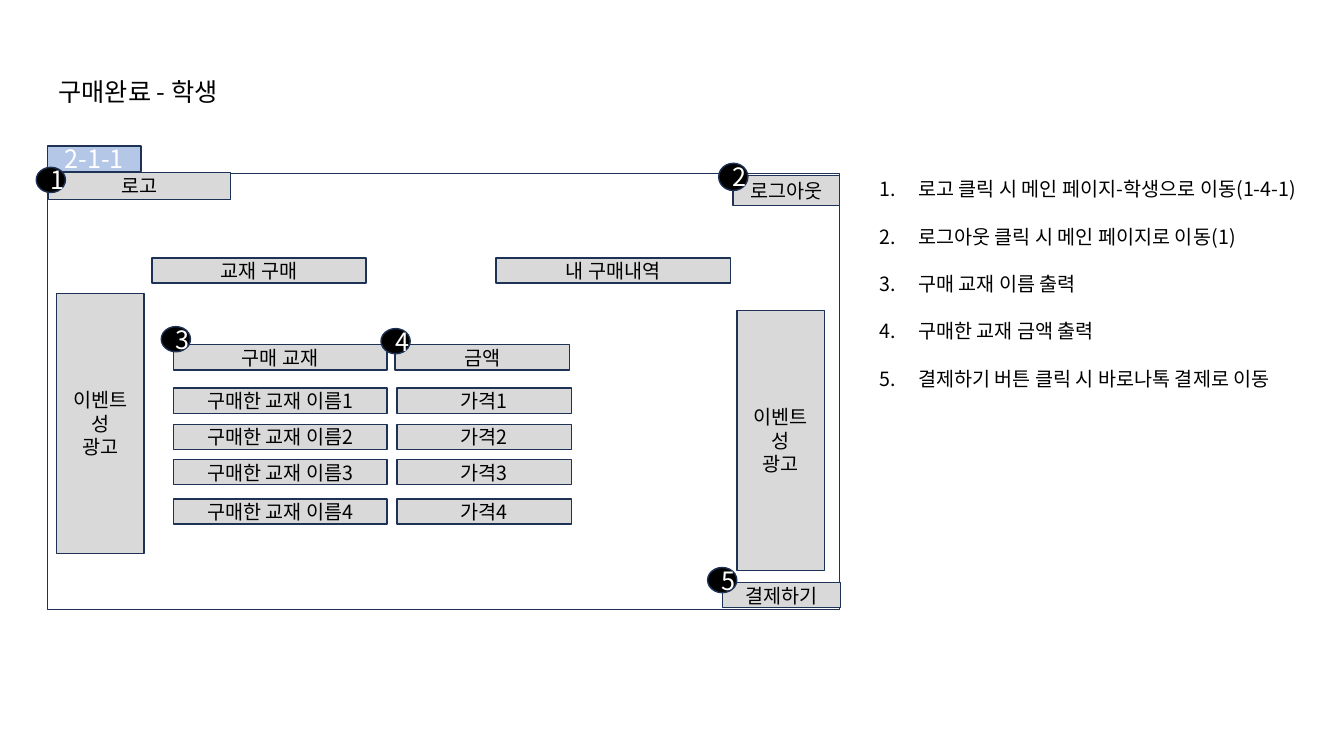
from lxml import etree
from pptx import Presentation
from pptx import util as u
from pptx.dml.color import RGBColor
from pptx.enum import shapes, text
from pptx.oxml.ns import qn

COLORS = {"ink": "000000", "paper": "FFFFFF", "outline": "1E3256",
          "button": "D9D9D9", "tag": "B4C7E7"}
FONT = "Noto Sans CJK KR"
COLUMNS, ROWS = 133.33, 75  # grid cells of a tenth of an inch


class Wireframe:
    """Style and current slide; all lengths are grid columns and rows."""

    def __init__(self, deck):
        self.slide = deck.slides.add_slide(deck.slide_layouts[5])
        self.column = deck.slide_width / COLUMNS
        self.row = deck.slide_height / ROWS

    def area(self, left, top, width, height):
        return [u.Emu(round(n * unit)) for n, unit in
                zip((left, top, width, height), (self.column, self.row) * 2)]

    def set_words(self, frame, words, size, color, align):
        frame.text = words
        frame.word_wrap = True
        for paragraph in frame.paragraphs:
            paragraph.alignment = align
            for run in paragraph.runs:
                run.font.size = u.Pt(size)
                run.font.name = FONT
                run.font.color.rgb = RGBColor.from_string(COLORS[color])
                east_asian = etree.SubElement(run._r.get_or_add_rPr(), qn("a:ea"))
                east_asian.set("typeface", FONT)

    def title(self, words, *cells):
        heading = self.slide.shapes.title
        heading.left, heading.top, heading.width, heading.height = self.area(*cells)
        frame = heading.text_frame
        self.set_words(frame, words, 18, "ink", text.PP_ALIGN.LEFT)
        frame.vertical_anchor = text.MSO_ANCHOR.TOP
        frame.auto_size = text.MSO_AUTO_SIZE.NONE

    def box(self, words, *cells, fill="button", size=14, color="ink",
            kind=shapes.MSO_SHAPE.RECTANGLE):
        shape = self.slide.shapes.add_shape(kind, *self.area(*cells))
        shape.shadow.inherit = False
        shape.fill.solid()
        shape.fill.fore_color.rgb = RGBColor.from_string(COLORS[fill])
        shape.line.color.rgb = RGBColor.from_string(COLORS["outline"])
        shape.line.width = u.Pt(1)
        if words:
            self.set_words(shape.text_frame, words, size, color, text.PP_ALIGN.CENTER)
            shape.text_frame.vertical_anchor = text.MSO_ANCHOR.MIDDLE

    def badge(self, number, left, top, height=2.5):
        self.box(str(number), left, top, 2.9, height, fill="ink", size=18,
                 color="paper", kind=shapes.MSO_SHAPE.OVAL)

    def numbered_list(self, items, *cells):
        frame = self.slide.shapes.add_textbox(*self.area(*cells)).text_frame
        self.set_words(frame, "\n".join(items), 14, "ink", text.PP_ALIGN.LEFT)
        for paragraph in frame.paragraphs:
            paragraph.space_after = u.Pt(17)
            props = paragraph._p.get_or_add_pPr()
            props.set("marL", str(u.Inches(0.38)))
            props.set("indent", str(-u.Inches(0.38)))
            bullet_font = etree.SubElement(props, qn("a:buFont"))
            bullet_font.set("typeface", FONT)
            etree.SubElement(props, qn("a:buAutoNum")).set("type", "arabicPeriod")


deck = Presentation()
deck.slide_width, deck.slide_height = u.Inches(13.33), u.Inches(7.5)
page = Wireframe(deck)

# Heading and explanations
page.title("구매완료 - 학생", 4.8, 7.1, 20.9, 4)
page.numbered_list(["로고 클릭 시 메인 페이지-학생으로 이동(1-4-1)",
                    "로그아웃 클릭 시 메인 페이지로 이동(1)",
                    "구매 교재 이름 출력",
                    "구매한 교재 금액 출력",
                    "결제하기 버튼 클릭 시 바로나톡 결제로 이동"],
                   86.3, 17.1, 47, 22.2)

# Page frame with its screen number
page.box("", 4.7, 17.2, 78.6, 43.3, fill="paper")
page.box("2-1-1", 4.7, 14.5, 9.3, 2.5, fill="tag", size=18, color="paper")

# Navigation and action buttons
BAR = 2.5
page.box("로고", 4.8, 17.1, 18.1, 2.7)
page.box("로그아웃", 72.7, 17.4, 10.6, 3)
page.box("교재 구매", 15.1, 25.6, 21.2, BAR)
page.box("내 구매내역", 49.2, 25.6, 23.3, BAR)
page.box("결제하기", 71.7, 57.8, 11.7, BAR)

# Purchased books and prices
page.box("구매 교재", 17.2, 34.2, 21.2, BAR)
page.box("금액", 39.2, 34.2, 17.3, BAR)
for number, top in enumerate((38.5, 42.1, 45.6, 49.5), start=1):
    page.box(f"구매한 교재 이름{number}", 17.2, top, 21.2, BAR)
    page.box(f"가격{number}", 39.4, top, 17.3, BAR)

# Event advertisements on both sides
for left, top in ((5.6, 29.1), (73.1, 30.8)):
    page.box("이벤트성\n광고", left, top, 8.7, 25.8)

# Markers that refer to the explanations
page.badge(1, 3.6, 16.6)
page.badge(2, 71.3, 16.2, height=2.7)
page.badge(3, 16, 32.4)
page.badge(4, 37.8, 32.6)
page.badge(5, 70.2, 56.3)

deck.save("out.pptx")
